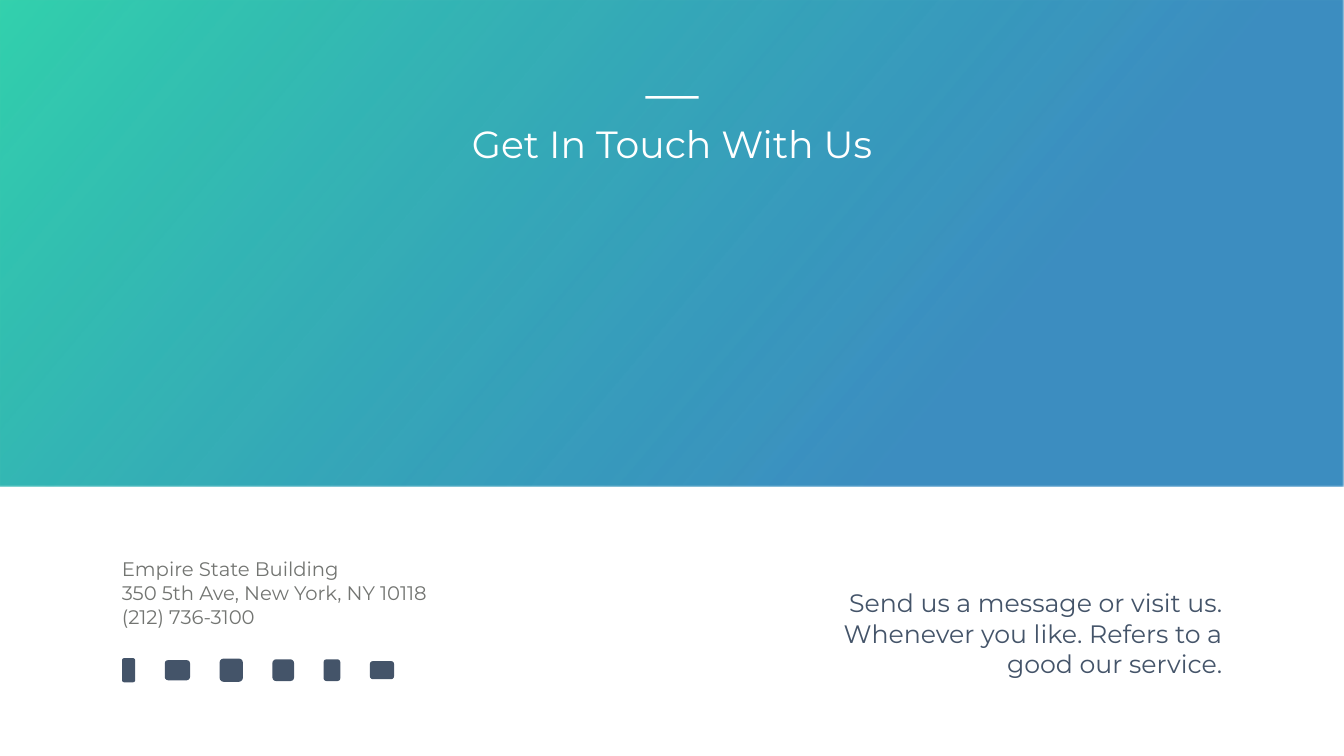
from dataclasses import dataclass
from typing import NamedTuple

from lxml.etree import SubElement
from pptx import Presentation
from pptx.dml.color import RGBColor
from pptx.enum.shapes import MSO_SHAPE
from pptx.enum.text import MSO_ANCHOR, PP_ALIGN
from pptx.oxml.ns import qn
from pptx.util import Inches, Pt


@dataclass(frozen=True)
class Theme:
    font: str = "Montserrat"
    green: str = "33D1AD"
    blue: str = "0D73B2"
    white: str = "FFFFFF"
    slate: str = "445469"
    grey: str = "737572"
    title_size: int = 54
    message_size: int = 36
    address_size: int = 28


class Box(NamedTuple):
    """A place on the slide, in percent of its width and height."""
    x: float
    y: float
    w: float
    h: float


class Icon(NamedTuple):
    """Size of a social icon's stand-in, in percent of the slide."""
    w: float
    h: float


THEME = Theme()
WIDTH, HEIGHT = Inches(26.66), Inches(15)

BANNER = Box(0, 0, 100, 64.4)
RULE = Box(48.01, 12.73, 3.98, 0.33)
TITLE = Box(28.3, 15.6, 43.4, 6.73)
ADDRESS = Box(8.7, 73.4, 23.86, 10.07)
MESSAGE = Box(61.89, 77.4, 29.41, 12.8)

ICONS = [Icon(0.98, 3.2), Icon(1.88, 2.67), Icon(1.73, 3.07),
         Icon(1.61, 2.87), Icon(1.24, 2.87), Icon(1.8, 2.4)]
ICON_LEFT, ICON_MIDDLE, ICON_GAP = 9.08, 88.65, 2.2


def emu(box: Box) -> tuple[int, int, int, int]:
    return (int(WIDTH * box.x / 100), int(HEIGHT * box.y / 100),
            int(WIDTH * box.w / 100), int(HEIGHT * box.h / 100))


def add_block(s, box: Box, color: str, kind=MSO_SHAPE.RECTANGLE):
    sp = s.shapes.add_shape(kind, *emu(box))
    sp.shadow.inherit = False
    sp.line.fill.background()
    sp.fill.solid()
    sp.fill.fore_color.rgb = RGBColor.from_string(color)
    return sp


def add_gradient(sp, start: str, end: str, end_at: float, end_alpha: int) -> None:
    """Blend from the top left towards the bottom right."""
    sp.fill.gradient()
    sp.fill.gradient_angle = 320
    first, last = sp.fill.gradient_stops
    first.color.rgb = RGBColor.from_string(start)
    first.position = 0
    last.color.rgb = RGBColor.from_string(end)
    last.position = end_at
    color = sp._element.spPr.findall(".//" + qn("a:srgbClr"))[-1]
    SubElement(color, qn("a:alpha")).set("val", str(end_alpha * 1000))


def write(sp, text: str, *, size: int, color: str,
          align=PP_ALIGN.LEFT, wrap: bool = True) -> None:
    tf = sp.text_frame
    tf.word_wrap = wrap
    tf.vertical_anchor = MSO_ANCHOR.TOP
    tf.text = text
    for p in tf.paragraphs:
        p.alignment = align
        for r in p.runs:
            r.font.name = THEME.font
            r.font.size = Pt(size)
            r.font.color.rgb = RGBColor.from_string(color)


def add_icons(s) -> None:
    x = ICON_LEFT
    for icon in ICONS:
        add_block(s, Box(x, ICON_MIDDLE - icon.h / 2, icon.w, icon.h),
                  THEME.slate, MSO_SHAPE.ROUNDED_RECTANGLE)
        x += icon.w + ICON_GAP


def main() -> None:
    prs = Presentation()
    prs.slide_width, prs.slide_height = WIDTH, HEIGHT
    s = prs.slides.add_slide(prs.slide_layouts[5])

    # Banner, placed behind the title
    banner = add_block(s, BANNER, THEME.green)
    add_gradient(banner, THEME.green, THEME.blue, end_at=0.73, end_alpha=80)
    title = s.shapes.title
    banner._element.addnext(title._element)

    # Title with its short rule
    title.left, title.top, title.width, title.height = emu(TITLE)
    write(title, "Get In Touch With Us", size=THEME.title_size,
          color=THEME.white, align=PP_ALIGN.CENTER)
    add_block(s, RULE, THEME.white)

    # Contact details and social icons
    write(s.shapes.add_textbox(*emu(ADDRESS)),
          "Empire State Building\n350 5th Ave, New York, NY 10118\n(212) 736-3100",
          size=THEME.address_size, color=THEME.grey, wrap=False)
    add_icons(s)

    # Closing message
    write(s.shapes.add_textbox(*emu(MESSAGE)),
          "Send us a message or visit us. Whenever you like. "
          "Refers to a good our service.",
          size=THEME.message_size, color=THEME.slate, align=PP_ALIGN.RIGHT)

    prs.save("out.pptx")


if __name__ == "__main__":
    main()
